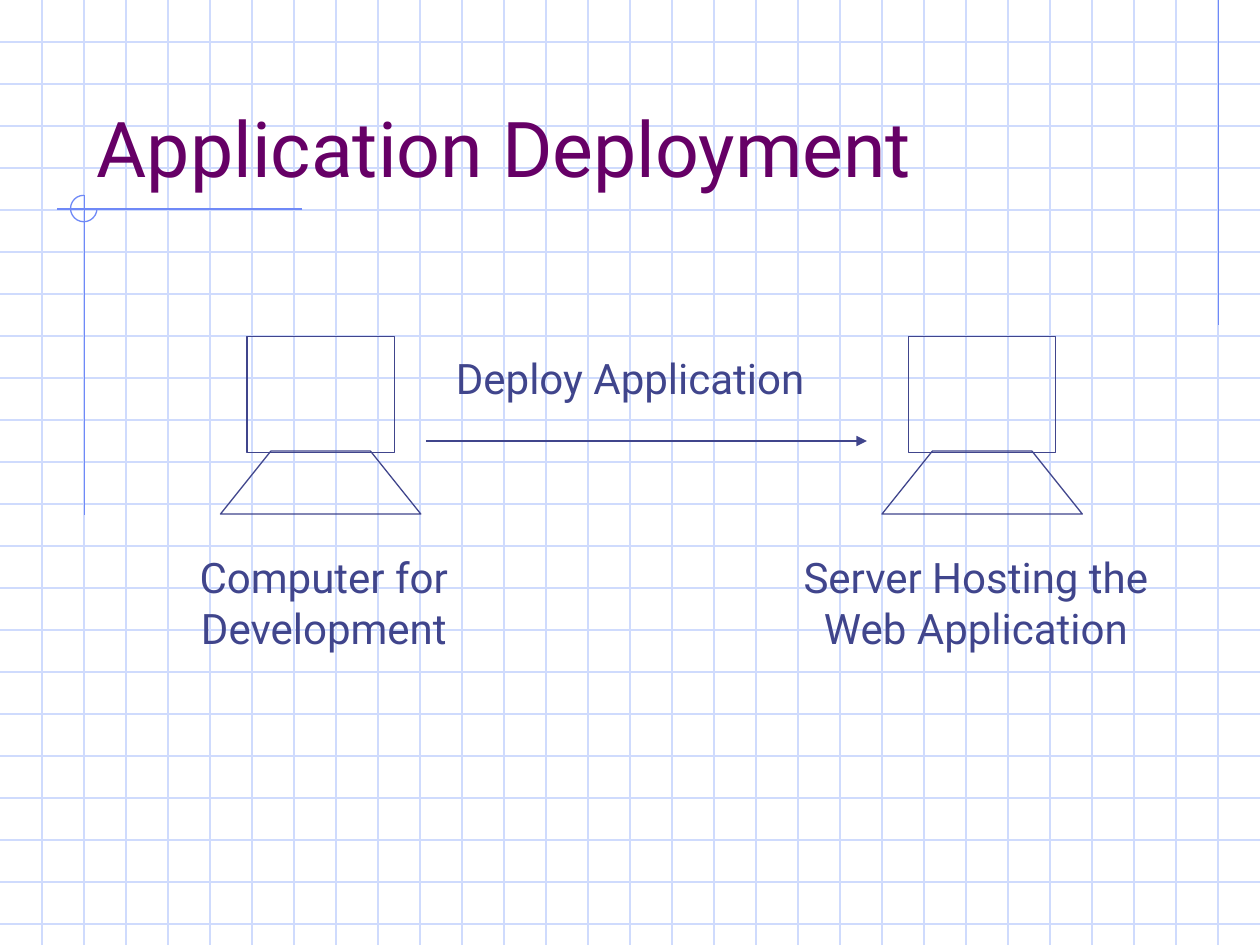
import pptx
import pptx.dml.color
import pptx.enum.shapes
import pptx.enum.text
import pptx.oxml
import pptx.oxml.ns
import pptx.util
from pptx.util import Inches

RGBColor = pptx.dml.color.RGBColor
MSO_SHAPE = pptx.enum.shapes.MSO_SHAPE
PP_ALIGN = pptx.enum.text.PP_ALIGN
MSO_ANCHOR = pptx.enum.text.MSO_ANCHOR

GRID_BLUE = RGBColor(0xCF, 0xDB, 0xFD)
ACCENT_BLUE = RGBColor(0x6F, 0x89, 0xF7)
INK_BLUE = RGBColor(0x40, 0x45, 0x8C)
TITLE_PURPLE = RGBColor(0x66, 0x00, 0x66)

FONT = "Roboto"
LINE_WIDTH = pptx.util.Pt(0.75)
WIDTH, HEIGHT = 10, 7.5
CELLS_PER_INCH = 3


def add_line(slide, start, end, color, arrow=False):
    line = slide.shapes.add_connector(
        pptx.enum.shapes.MSO_CONNECTOR.STRAIGHT,
        Inches(start[0]), Inches(start[1]), Inches(end[0]), Inches(end[1]))
    line.line.color.rgb = color
    line.line.width = LINE_WIDTH
    properties = line._element.spPr
    if arrow:
        outline = line.line._get_or_add_ln()
        pptx.oxml.ns.qn("a:tailEnd")
        head = outline.makeelement(pptx.oxml.ns.qn("a:tailEnd"), {"type": "triangle"})
        outline.append(head)
    properties.append(properties.makeelement(pptx.oxml.ns.qn("a:effectLst"), {}))


def style_outline(shape, color):
    shape.shadow.inherit = False
    shape.fill.background()
    shape.line.color.rgb = color
    shape.line.width = LINE_WIDTH


def add_text(slide, box, lines, size=24, color=INK_BLUE,
             align=PP_ALIGN.LEFT, anchor=MSO_ANCHOR.TOP):
    frame = slide.shapes.add_textbox(*map(Inches, box)).text_frame
    frame.word_wrap = True
    frame.vertical_anchor = anchor
    frame.text = "\n".join(lines)
    for paragraph in frame.paragraphs:
        paragraph.alignment = align
        paragraph.font.name = FONT
        paragraph.font.size = pptx.util.Pt(size)
        paragraph.font.color.rgb = color


def add_grid(slide):
    for row in range(1, int(HEIGHT * CELLS_PER_INCH) + 1):
        y = row / CELLS_PER_INCH
        add_line(slide, (0, y), (WIDTH, y), GRID_BLUE)
    for column in range(1, WIDTH * CELLS_PER_INCH):
        x = column / CELLS_PER_INCH
        add_line(slide, (x, 0), (x, HEIGHT), GRID_BLUE)


def add_accents(slide):
    add_line(slide, (9.67, 0), (9.67, 2.58), ACCENT_BLUE)
    add_line(slide, (2.4, 1.66), (0.45, 1.66), ACCENT_BLUE)
    add_line(slide, (0.67, 1.55), (0.67, 4.09), ACCENT_BLUE)
    # Three-quarter circle, clockwise from the right to the top
    arc = slide.shapes.add_shape(
        MSO_SHAPE.ARC, Inches(0.56), Inches(1.55), Inches(0.21), Inches(0.21))
    arc.adjustments[0] = 0
    arc.adjustments[1] = 162  # 270 degrees
    style_outline(arc, ACCENT_BLUE)


def add_computer(slide, left):
    """Draw a monitor on its base; left is the left corner of the base."""
    monitor = slide.shapes.add_shape(
        MSO_SHAPE.RECTANGLE, Inches(left + 0.21), Inches(2.67), Inches(1.17), Inches(0.92))
    style_outline(monitor, INK_BLUE)

    top, bottom = 3.58, 4.08
    builder = slide.shapes.build_freeform(
        Inches(left + 1.59), Inches(bottom))
    corners = [(left + 1.19, top), (left + 0.4, top), (left, bottom)]
    builder.add_line_segments([(Inches(x), Inches(y)) for x, y in corners], close=True)
    style_outline(builder.convert_to_shape(), INK_BLUE)


def main():
    presentation = pptx.Presentation()
    presentation.slide_width = Inches(WIDTH)
    presentation.slide_height = Inches(HEIGHT)
    slide = presentation.slides.add_slide(presentation.slide_layouts[6])

    # Graph-paper background
    add_grid(slide)
    add_accents(slide)

    # Title
    add_text(slide, (0.67, 0.33, 8.5, 1.25), ["Application Deployment"],
             size=44, color=TITLE_PURPLE, anchor=MSO_ANCHOR.BOTTOM)

    # Development computer and server
    for left in (1.75, 7):
        add_computer(slide, left)
    add_text(slide, (1.41, 4.33, 2.32, 0.9), ["Computer for", "Development"],
             align=PP_ALIGN.CENTER)
    add_text(slide, (6.19, 4.33, 3.11, 0.9), ["Server Hosting the", "Web Application"],
             align=PP_ALIGN.CENTER)

    # Deployment arrow
    add_line(slide, (3.38, 3.5), (6.88, 3.5), INK_BLUE, arrow=True)
    add_text(slide, (3.52, 2.75, 3.13, 0.5), ["Deploy Application"])

    presentation.save("out.pptx")


if __name__ == "__main__":
    main()
